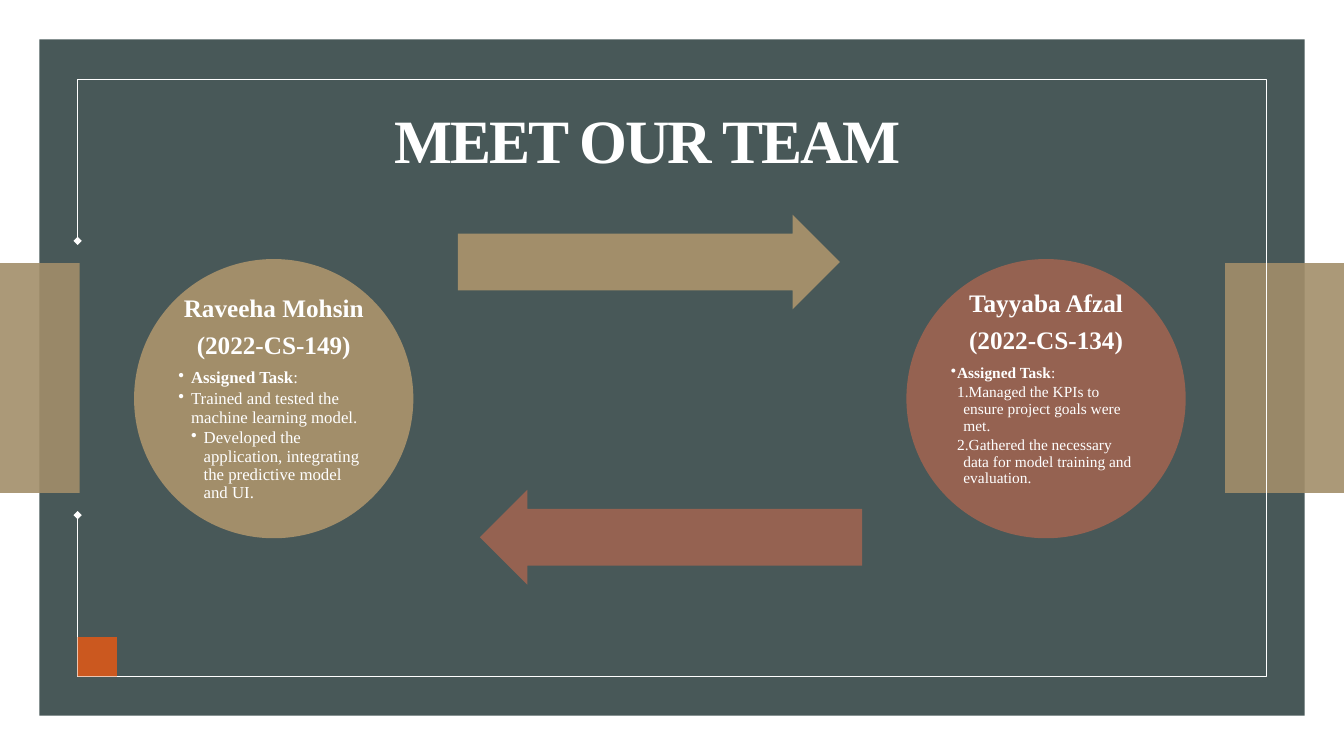
from dataclasses import dataclass

from lxml.etree import SubElement
from pptx import Presentation
from pptx.dml.color import RGBColor
from pptx.enum.shapes import MSO_SHAPE
from pptx.enum.text import MSO_ANCHOR, PP_ALIGN
from pptx.oxml.ns import qn
from pptx.shapes.autoshape import Shape
from pptx.slide import Slide
from pptx.text.text import TextFrame
from pptx.util import Inches, Pt


@dataclass(frozen=True)
class Theme:
    font: str = "Times New Roman"
    white: str = "FFFFFF"
    slate: str = "485858"
    sand: str = "A28E6A"
    clay: str = "956251"
    orange: str = "CB581F"
    title_size: int = 44
    name_size: int = 18


THEME = Theme()


@dataclass(frozen=True)
class Block:
    preset: MSO_SHAPE
    left: float
    top: float
    width: float
    height: float
    color: str
    opacity: int = 100
    rotation: int = 0


@dataclass(frozen=True)
class Task:
    text: str
    level: int
    numbered: bool = False


@dataclass(frozen=True)
class Member:
    name: str
    roll: str
    circle_left: float
    color: str
    task_size: int
    indent: float
    bottom_inset: float
    tasks: tuple[Task, ...]


PANEL = (
    Block(MSO_SHAPE.RECTANGLE, 0.39, 0.39, 12.55, 6.71, THEME.slate),
    Block(MSO_SHAPE.RECTANGLE, 0, 2.61, 0.79, 2.28, THEME.sand, 90),
    Block(MSO_SHAPE.RECTANGLE, 12.15, 2.61, 1.18, 2.28, THEME.sand, 90),
)
CORNER = Block(MSO_SHAPE.RECTANGLE, 0.77, 6.32, 0.39, 0.39, THEME.orange)
ARROWS = (
    Block(MSO_SHAPE.RIGHT_ARROW, 4.54, 2.13, 3.79, 0.94, THEME.sand),
    Block(MSO_SHAPE.RIGHT_ARROW, 4.76, 4.86, 3.79, 0.94, THEME.clay, rotation=180),
)
FRAME = ((0.77, 2.39), (0.77, 0.79), (12.56, 0.79),
         (12.56, 6.71), (0.77, 6.71), (0.77, 5.11))

CIRCLE_TOP, CIRCLE_SIZE = 2.57, 2.77
TEXT_MARGIN, INSET = 0.41, 0.03

MEMBERS = (
    Member("Raveeha Mohsin", "(2022-CS-149)", 1.33, THEME.sand, 12, 0.125, INSET, (
        Task("Trained and tested the machine learning model.", 1),
        Task("Developed the application, integrating the predictive model and UI.", 2),
    )),
    Member("Tayyaba Afzal", "(2022-CS-134)", 8.99, THEME.clay, 11, 0.0625, 0.22, (
        Task("Managed the KPIs to ensure project goals were met.", 2, True),
        Task("Gathered the necessary data for model training and evaluation.", 2, True),
    )),
)


def add_block(slide: Slide, block: Block) -> Shape:
    shape = slide.shapes.add_shape(
        block.preset, Inches(block.left), Inches(block.top),
        Inches(block.width), Inches(block.height))
    shape.shadow.inherit = False
    shape.fill.solid()
    shape.fill.fore_color.rgb = RGBColor.from_string(block.color)
    shape.line.fill.background()
    shape.rotation = block.rotation
    if block.opacity < 100:
        color = shape.fill._xPr.find(".//" + qn("a:srgbClr"))
        SubElement(color, qn("a:alpha"), val=str(block.opacity * 1000))
    return shape


def add_frame(slide: Slide) -> None:
    start, *corners = [(Inches(x), Inches(y)) for x, y in FRAME]
    builder = slide.shapes.build_freeform(*start)
    builder.add_line_segments(corners, close=False)
    frame = builder.convert_to_shape()
    frame.shadow.inherit = False
    frame.fill.background()
    frame.line.color.rgb = RGBColor.from_string(THEME.white)
    frame.line.width = Pt(1)
    for end in ("a:headEnd", "a:tailEnd"):
        SubElement(frame.line._ln, qn(end), type="diamond")


def add_text_frame(slide: Slide, left: float, top: float, width: float,
                   height: float, anchor: MSO_ANCHOR) -> TextFrame:
    box = slide.shapes.add_textbox(
        Inches(left), Inches(top), Inches(width), Inches(height))
    frame = box.text_frame
    frame.word_wrap = True
    frame.vertical_anchor = anchor
    return frame


def write_line(frame: TextFrame, text: str, size: int, bold: bool = False,
               space_after: float = 0, indent: float = 0, level: int = 0,
               numbered: bool = False):
    """Level 0 is centred; deeper levels carry a bullet or a number."""
    line = frame.paragraphs[0] if not frame.text else frame.add_paragraph()
    line.alignment = PP_ALIGN.LEFT if level else PP_ALIGN.CENTER
    line.line_spacing = 0.9
    line.space_after = Pt(space_after)
    if level:
        props = line._p.get_or_add_pPr()
        props.set("marL", str(Inches(indent * level)))
        props.set("indent", str(-Inches(indent)))
        bullet_color = SubElement(props, qn("a:buClr"))
        SubElement(bullet_color, qn("a:srgbClr"), val=THEME.white)
        if numbered:
            SubElement(props, qn("a:buAutoNum"), type="arabicPeriod")
        else:
            SubElement(props, qn("a:buChar"), char="•")
    line.font.name = THEME.font
    line.font.size = Pt(size)
    line.font.color.rgb = RGBColor.from_string(THEME.white)
    run = line.add_run()
    run.text = text
    run.font.bold = bold
    return line


def add_title(slide: Slide) -> None:
    frame = add_text_frame(slide, 3.78, 0.91, 5.29, 0.89, MSO_ANCHOR.BOTTOM)
    title = write_line(frame, "MEET OUR TEAM", THEME.title_size, bold=True)
    title.runs[0].font._element.set("spc", "-150")


def add_member(slide: Slide, member: Member) -> None:
    add_block(slide, Block(MSO_SHAPE.OVAL, member.circle_left, CIRCLE_TOP,
                           CIRCLE_SIZE, CIRCLE_SIZE, member.color))
    side = CIRCLE_SIZE - 2 * TEXT_MARGIN
    frame = add_text_frame(slide, member.circle_left + TEXT_MARGIN,
                           CIRCLE_TOP + TEXT_MARGIN, side, side, MSO_ANCHOR.MIDDLE)
    frame.margin_left = frame.margin_right = frame.margin_top = Inches(INSET)
    frame.margin_bottom = Inches(member.bottom_inset)

    for heading in (member.name, member.roll):
        write_line(frame, heading, THEME.name_size, bold=True, space_after=7)
    label = write_line(frame, "Assigned Task", member.task_size, bold=True,
                       space_after=2, indent=member.indent, level=1)
    colon = label.add_run()
    colon.text = ":"
    colon.font.bold = False
    for task in member.tasks:
        write_line(frame, task.text, member.task_size, space_after=2,
                   indent=member.indent, level=task.level, numbered=task.numbered)


def main() -> None:
    deck = Presentation()
    deck.slide_width, deck.slide_height = Inches(13.33), Inches(7.5)
    slide = deck.slides.add_slide(deck.slide_layouts[6])

    # Backdrop
    for block in PANEL:
        add_block(slide, block)
    add_frame(slide)
    add_block(slide, CORNER)

    # Title and team cycle
    add_title(slide)
    for member, arrow in zip(MEMBERS, ARROWS):
        add_member(slide, member)
        arrow_shape = add_block(slide, arrow)
        arrow_shape.adjustments[0] = 0.6
        arrow_shape.adjustments[1] = 0.5

    deck.save("out.pptx")


if __name__ == "__main__":
    main()
